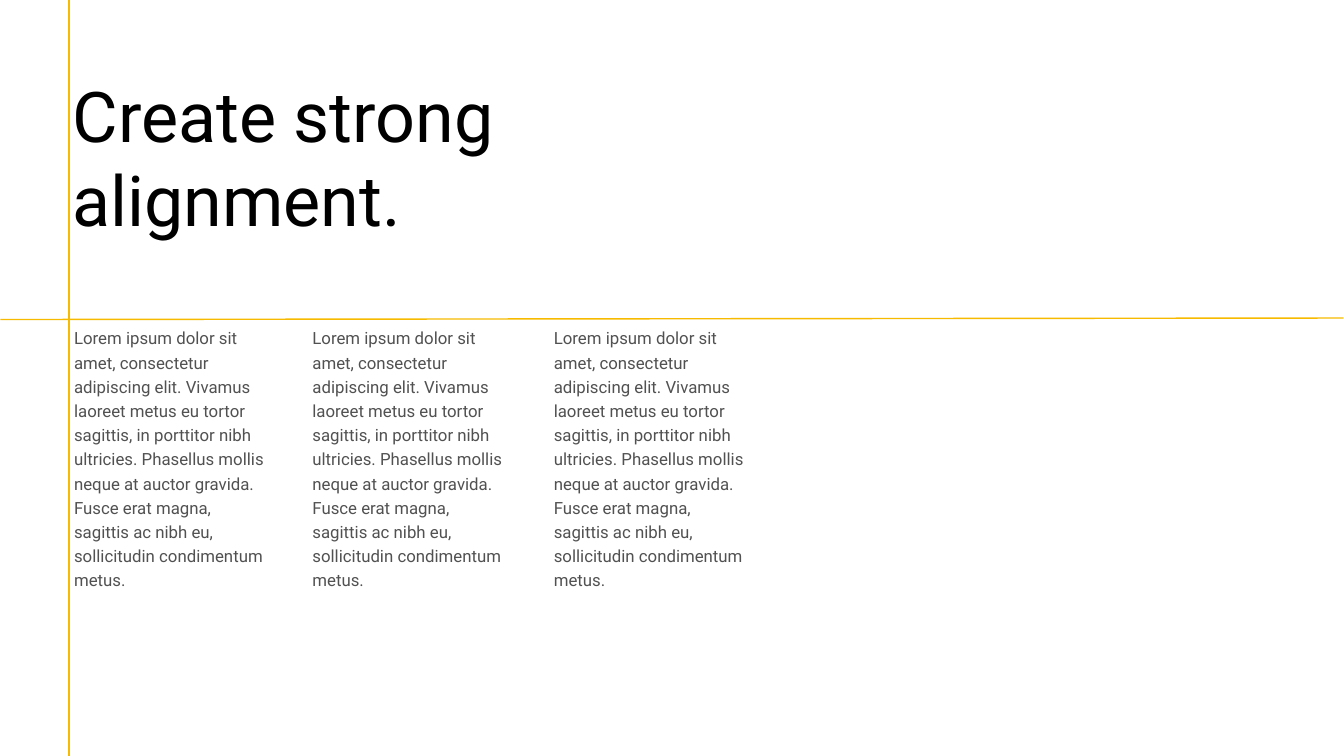
from lxml.etree import SubElement
from pptx import Presentation
from pptx.dml.color import RGBColor
from pptx.enum.shapes import MSO_CONNECTOR
from pptx.enum.text import MSO_ANCHOR, MSO_AUTO_SIZE, PP_ALIGN
from pptx.oxml.ns import qn
from pptx.util import Inches, Pt

COLORS = {"guide": "F7BA01", "title": "000000", "body": "515151"}
FONT = "Roboto"
COLUMN_LEFTS = (1.39, 6.12, 10.91)
COLUMN_TEXT = (
    "Lorem ipsum dolor sit amet, consectetur adipiscing elit. Vivamus laoreet "
    "metus eu tortor sagittis, in porttitor nibh ultricies. Phasellus mollis "
    "neque at auctor gravida. Fusce erat magna, sagittis ac nibh eu, "
    "sollicitudin condimentum metus."
)


def add_guide(slide, start, end):
    """Draw a straight guide line between two points in inches."""
    guide = slide.shapes.add_connector(
        MSO_CONNECTOR.STRAIGHT, *map(Inches, start + end)
    )
    guide.line.color.rgb = RGBColor.from_string(COLORS["guide"])
    guide.line.width = Pt(2)
    SubElement(guide._element.spPr, qn("a:effectLst"))


def write_text(shape, text, size, color, line_spacing=1.0):
    """Fill a text shape with one left-aligned paragraph."""
    frame = shape.text_frame
    frame.word_wrap = True
    frame.auto_size = MSO_AUTO_SIZE.SHAPE_TO_FIT_TEXT
    frame.vertical_anchor = MSO_ANCHOR.TOP
    frame.margin_left = frame.margin_right = Inches(0.08)
    frame.margin_top = frame.margin_bottom = Inches(0.08)

    paragraph = frame.paragraphs[0]
    paragraph.alignment = PP_ALIGN.LEFT
    paragraph.line_spacing = line_spacing
    run = paragraph.add_run()
    run.text = text
    run.font.name = FONT
    run.font.size = Pt(size)
    run.font.color.rgb = RGBColor.from_string(COLORS[color])


def add_title(slide, text):
    title = slide.shapes.title
    title.left, title.top = Inches(1.36), Inches(1.35)
    title.width, title.height = Inches(10.32), Inches(3.74)
    write_text(title, text, 100, "title")


def add_column(slide, left):
    column = slide.shapes.add_textbox(
        Inches(left), Inches(6.35), Inches(4), Inches(5.93)
    )
    write_text(column, COLUMN_TEXT, 24, "body", line_spacing=1.2)


def main():
    presentation = Presentation()
    presentation.slide_width = Inches(26.67)
    presentation.slide_height = Inches(15)
    slide = presentation.slides.add_slide(presentation.slide_layouts[5])

    # Alignment guides
    add_guide(slide, (1.37, 0), (1.37, 15))
    add_guide(slide, (0.01, 6.34), (26.66, 6.31))

    # Heading and text columns
    add_title(slide, "Create strong alignment.")
    for left in COLUMN_LEFTS:
        add_column(slide, left)

    presentation.save("out.pptx")


if __name__ == "__main__":
    main()
